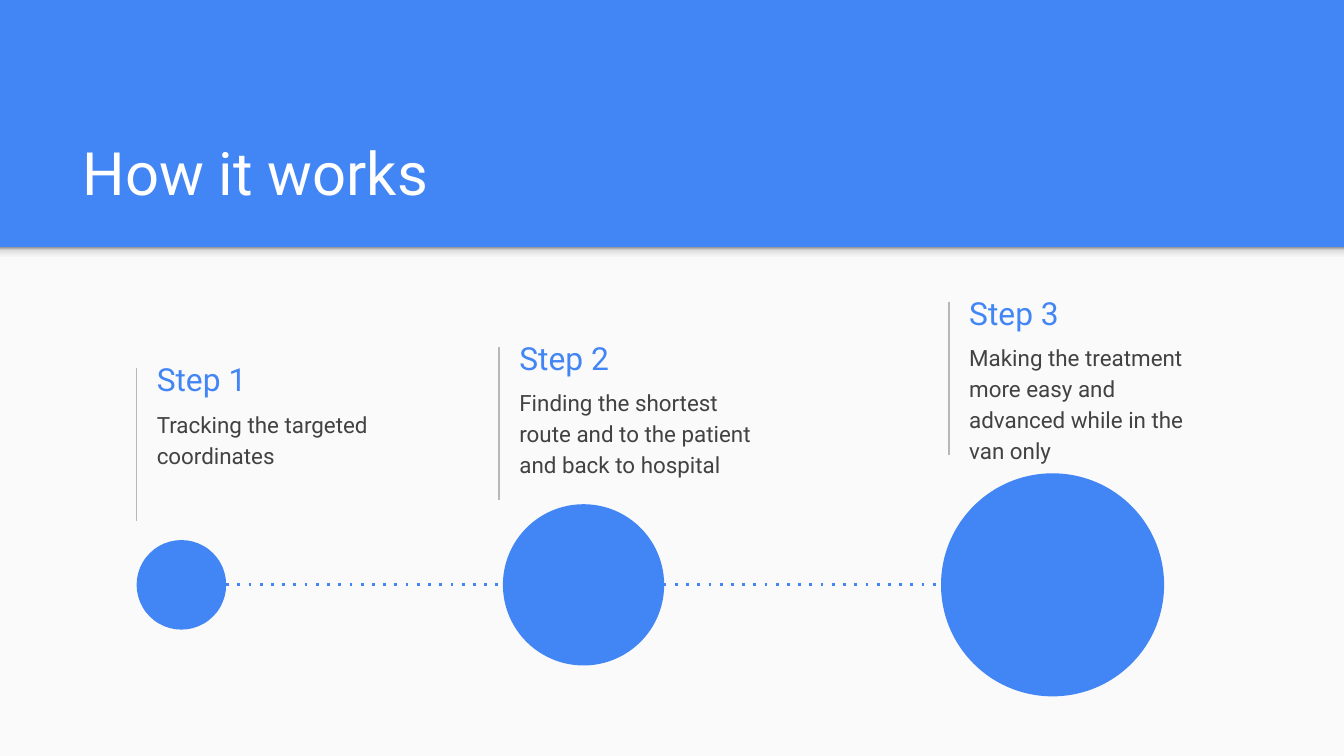
import lxml.etree
import pptx
import pptx.dml.color
import pptx.enum.shapes
import pptx.enum.text
import pptx.oxml.ns
import pptx.util

RGB = pptx.dml.color.RGBColor
SHAPE = pptx.enum.shapes.MSO_SHAPE
ANCHOR = pptx.enum.text.MSO_ANCHOR
qn = pptx.oxml.ns.qn

BLUE = RGB(0x42, 0x85, 0xF4)
PAPER = RGB(0xFA, 0xFA, 0xFA)
WHITE = RGB(0xFF, 0xFF, 0xFF)
INK = RGB(0x42, 0x42, 0x42)
RULE = RGB(0xB7, 0xB7, 0xB7)
PALE = RGB(0xF9, 0xF9, 0xF9)
MIST = RGB(0xDE, 0xDE, 0xDE)
SHADE = RGB(0x99, 0x99, 0x99)


class Deck:
    """Draws styled elements on a slide, on a square grid 100 columns wide."""

    font = "Roboto"

    def __init__(self):
        self.prs = pptx.Presentation()
        self.prs.slide_width = pptx.util.Inches(10)
        self.prs.slide_height = pptx.util.Inches(10 * 9 / 16)
        self.slide = self.prs.slides.add_slide(self.prs.slide_layouts[6])
        fill = self.slide.background.fill
        fill.solid()
        fill.fore_color.rgb = BLUE

    def grid(self, *cells):
        return [round(self.prs.slide_width * cell / 100) for cell in cells]

    def shape(self, kind, box, color):
        item = self.slide.shapes.add_shape(kind, *self.grid(*box))
        item.shadow.inherit = False
        item.fill.solid()
        item.fill.fore_color.rgb = color
        item.line.fill.background()
        return item

    def fade(self, box, stops):
        item = self.shape(SHAPE.RECTANGLE, box, PALE)
        item.fill.gradient()
        item.fill.gradient_angle = 90
        ramp = item.element.spPr.find(qn("a:gradFill")).find(qn("a:gsLst"))
        ramp.clear()
        for share, color in stops:
            stop = lxml.etree.SubElement(ramp, qn("a:gs"), pos=str(share * 1000))
            lxml.etree.SubElement(stop, qn("a:srgbClr"), val=str(color))

    def line(self, start, end, color, width, dash="solid"):
        kind = pptx.enum.shapes.MSO_CONNECTOR.STRAIGHT
        item = self.slide.shapes.add_connector(kind, *self.grid(*start, *end))
        item.line.color.rgb = color
        item.line.width = pptx.util.Pt(width)
        props = item.element.spPr
        lxml.etree.SubElement(props.find(qn("a:ln")), qn("a:prstDash"), val=dash)
        lxml.etree.SubElement(props, qn("a:effectLst"))

    def text(self, box, words, size, color, anchor, lead=1, after=0):
        frame = self.slide.shapes.add_textbox(*self.grid(*box)).text_frame
        frame.word_wrap = True
        frame.vertical_anchor = anchor
        frame.margin_left, frame.margin_top = self.grid(1, 1)
        frame.margin_right, frame.margin_bottom = self.grid(1, 1)
        para = frame.paragraphs[0]
        para.line_spacing = lead
        para.space_after = pptx.util.Pt(after)
        run = para.add_run()
        run.text = words
        run.font.name = self.font
        run.font.size = pptx.util.Pt(size)
        run.font.color.rgb = color

    def step(self, left, top, head, body):
        self.line((left, top), (left, top + 11.35), RULE, 0.75)
        side, rise = left + 0.53, top - 1.35
        self.text((side, rise, 19.8, 4.3), head, 17, BLUE, ANCHOR.MIDDLE)
        self.text((side, rise + 3.2, 19.8, 6.3), body, 12, INK, ANCHOR.TOP, 1.15, 16)

    def disc(self, left, mid, size):
        self.shape(SHAPE.OVAL, (left, mid - size / 2, size, size), BLUE)


def main():
    deck = Deck()
    deck.shape(SHAPE.RECTANGLE, (0, 18.4, 100, 37.85), PAPER)
    deck.fade((0, 18.4, 100, 1.2), [(0, PALE), (36, PALE), (80, MIST), (100, SHADE)])
    deck.text((5.15, 8.05, 89.9, 8.4), "How it works", 32, WHITE, ANCHOR.BOTTOM)

    steps = [
        (10.15, 27.42, "Tracking the targeted coordinates"),
        (37.13, 25.82, "Finding the shortest route and to the patient and back to hospital"),
        (70.6, 22.48, "Making the treatment more easy and advanced while in the van only"),
    ]
    for count, (left, top, body) in enumerate(steps, 1):
        deck.step(left, top, f"Step {count}", body)

    mid = 43.52
    discs = [(10.17, 6.66), (37.42, 12), (70.02, 16.6)]
    deck.line((sum(discs[0]), mid), (discs[-1][0], mid), BLUE, 1.5, "dot")
    for left, size in discs:
        deck.disc(left, mid, size)

    deck.prs.save("out.pptx")


if __name__ == "__main__":
    main()
